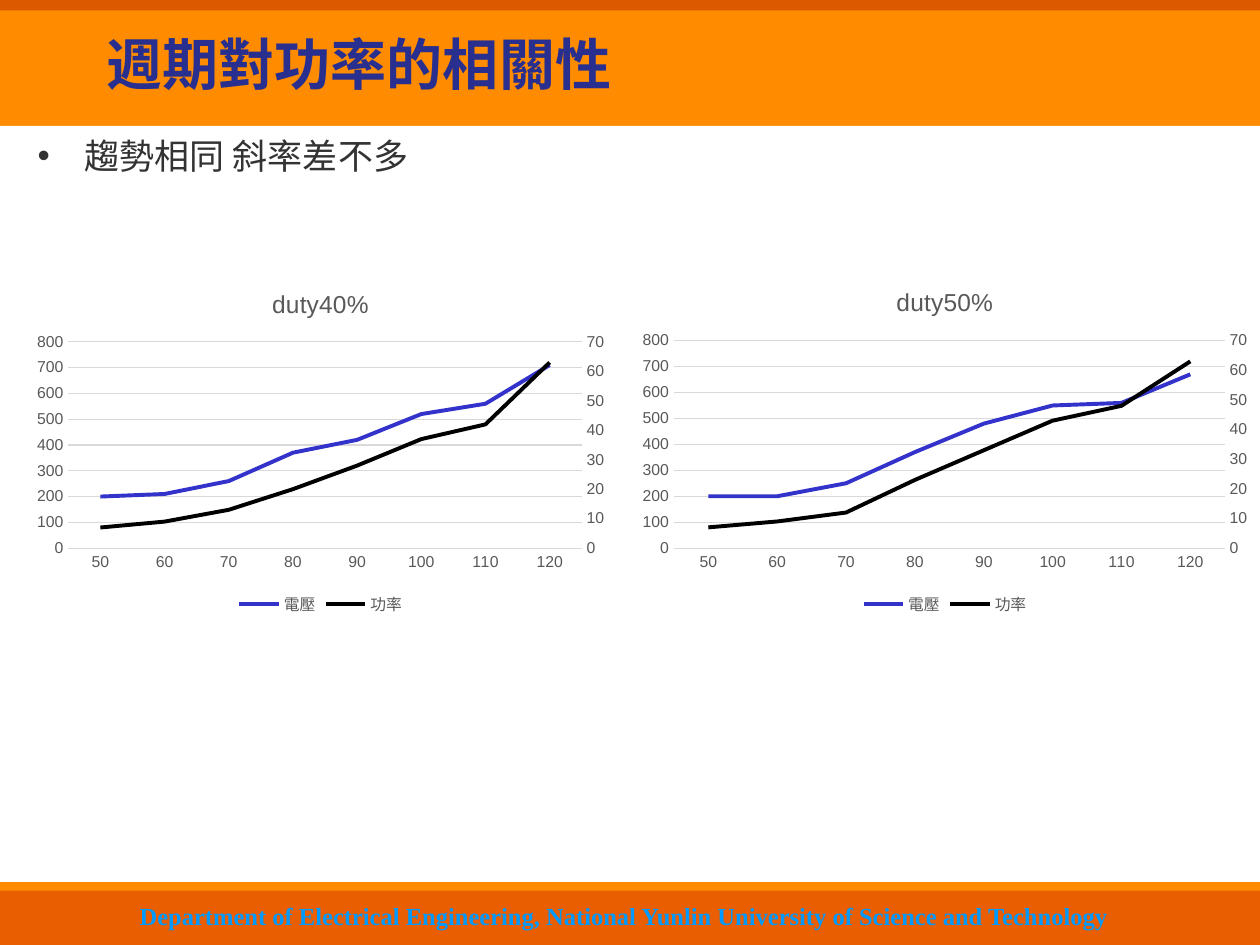
from copy import deepcopy

from lxml import etree
from pptx import Presentation
from pptx import util as u
from pptx.chart.data import CategoryChartData
from pptx.dml.color import RGBColor
from pptx.enum import chart as ch, shapes, text
from pptx.oxml.ns import qn

ORANGE = RGBColor(0xFF, 0x8C, 0x00)
DARK_ORANGE = RGBColor(0xDC, 0x59, 0x00)
FOOTER_ORANGE = RGBColor(0xE8, 0x5E, 0x00)
WHITE = RGBColor(0xFF, 0xFF, 0xFF)
NAVY = RGBColor(0x28, 0x2F, 0x8E)
SKY = RGBColor(0x00, 0x99, 0xFF)
CHARCOAL = RGBColor(0x33, 0x33, 0x33)
GREY = RGBColor(0x59, 0x59, 0x59)
GRID = RGBColor(0xD9, 0xD9, 0xD9)
BLUE = RGBColor(0x33, 0x33, 0xCC)
BLACK = RGBColor(0, 0, 0)

prs = Presentation()
prs.slide_width, prs.slide_height = u.Pt(720), u.Pt(540)
slide = prs.slides.add_slide(prs.slide_layouts[6])


def add_text(words, left, top, width, height, *, size, color, bold=False,
             align=text.PP_ALIGN.LEFT, anchor=text.MSO_ANCHOR.MIDDLE, bullet=None):
    box = slide.shapes.add_textbox(u.Pt(left), u.Pt(top), u.Pt(width), u.Pt(height))
    frame = box.text_frame
    frame.word_wrap = True
    frame.vertical_anchor = anchor
    paragraph = frame.paragraphs[0]
    paragraph.alignment = align
    if bullet:
        props = paragraph._p.get_or_add_pPr()
        props.set("marL", str(u.Pt(27)))
        props.set("indent", str(u.Pt(-27)))
        etree.SubElement(props, qn("a:buFont")).set("typeface", "Arial")
        etree.SubElement(props, qn("a:buChar")).set("char", bullet)
    run = paragraph.add_run()
    run.text = words
    run.font.name = "Times New Roman"
    run.font.size = u.Pt(size)
    run.font.bold = bold
    run.font.color.rgb = color
    return run


# Background bands, back to front: top, height, colour
for top, height, color in [
    (0, 540, ORANGE),
    (0, 6, DARK_ORANGE),
    (72, 432, WHITE),
    (509, 31, FOOTER_ORANGE),
]:
    band = slide.shapes.add_shape(shapes.MSO_SHAPE.RECTANGLE, 0, u.Pt(top), u.Pt(720), u.Pt(height))
    band.shadow.inherit = False
    band.fill.solid()
    band.fill.fore_color.rgb = color
    band.line.fill.background()

# Footer with a light text shadow
footer = add_text(
    "Department of Electrical Engineering, National Yunlin University of Science and Technology",
    64.8, 511.2, 583.9, 23.8, size=14, color=SKY, bold=True, align=text.PP_ALIGN.CENTER)
effects = etree.Element(qn("a:effectLst"))
shadow = etree.SubElement(effects, qn("a:outerShdw"), dist=str(u.Pt(1)), dir="2700000")
etree.SubElement(shadow, qn("a:srgbClr")).set("val", "C0C0C0")
footer.font._element.find(qn("a:solidFill")).addnext(effects)

# Title and bullet
add_text("週期對功率的相關性", 54, 0, 589.7, 72, size=32, color=NAVY, bold=True)
add_text("趨勢相同 斜率差不多", 14.4, 73.5, 692, 401, size=20, color=CHARCOAL,
         anchor=text.MSO_ANCHOR.TOP, bullet="•")

# Charts: voltage on the left axis, power on the right axis
periods = ["50", "60", "70", "80", "90", "100", "110", "120"]
for title, left, top, width, height, voltage, power in [
    ("duty40%", 14.4, 154.1, 337.7, 200.2,
     [200, 210, 260, 370, 420, 520, 560, 710], [7, 9, 13, 20, 28, 37, 42, 63]),
    ("duty50%", 360, 153.4, 360, 200.9,
     [200, 200, 250, 370, 480, 550, 560, 670], [7, 9, 12, 23, 33, 43, 48, 63]),
]:
    data = CategoryChartData()
    data.categories = periods
    data.add_series("電壓", voltage)
    data.add_series("功率", power)
    chart = slide.shapes.add_chart(ch.XL_CHART_TYPE.LINE, u.Pt(left), u.Pt(top),
                                   u.Pt(width), u.Pt(height), data).chart
    chart.font.name = "Arial"
    chart.font.size = u.Pt(9)
    chart.font.color.rgb = GREY
    chart.has_title = True
    chart.chart_title.include_in_layout = False
    heading = chart.chart_title.text_frame
    heading.text = title
    heading_font = heading.paragraphs[0].runs[0].font
    heading_font.name = "Arial"
    heading_font.size = u.Pt(14)
    heading_font.bold = False
    heading_font.color.rgb = GREY
    chart.has_legend = True
    chart.legend.position = ch.XL_LEGEND_POSITION.BOTTOM
    chart.legend.include_in_layout = False

    # Lines
    chart.plots[0].vary_by_categories = False
    for series, color in zip(chart.plots[0].series, (BLUE, BLACK)):
        series.smooth = False
        series.marker.style = ch.XL_MARKER_STYLE.NONE
        series.format.line.color.rgb = color
        series.format.line.width = u.Pt(2.25)

    # Axes
    periods_axis, voltage_axis = chart.category_axis, chart.value_axis
    for axis in (periods_axis, voltage_axis):
        axis.major_tick_mark = axis.minor_tick_mark = ch.XL_TICK_MARK.NONE
    periods_axis.format.line.color.rgb = GRID
    periods_axis.format.line.width = u.Pt(0.75)
    voltage_axis.format.line.fill.background()
    voltage_axis.major_gridlines.format.line.color.rgb = GRID
    voltage_axis.major_gridlines.format.line.width = u.Pt(0.75)
    voltage_axis.minimum_scale, voltage_axis.maximum_scale = 0, 800
    voltage_axis.major_unit = 100

    # Second plot for power, with its own pair of axes
    left_plot = chart.plots[0]._element
    right_plot = deepcopy(left_plot)
    left_plot.remove(left_plot.findall(qn("c:ser"))[1])
    right_plot.remove(right_plot.find(qn("c:ser")))
    left_plot.addnext(right_plot)
    hidden_axis = deepcopy(periods_axis._element)
    power_axis = deepcopy(voltage_axis._element)
    voltage_axis._element.addnext(power_axis)
    power_axis.addnext(hidden_axis)
    for axis_id, number in zip(right_plot.findall(qn("c:axId")), ("5001", "5002")):
        axis_id.set("val", number)
    for axis, changes in [
        (hidden_axis, {"axId": "5001", "crossAx": "5002", "delete": "1"}),
        (power_axis, {"axId": "5002", "crossAx": "5001", "axPos": "r", "crosses": "max",
                      "max": "70", "majorUnit": "10"}),
    ]:
        for tag, value in changes.items():
            next(axis.iter(qn("c:" + tag))).set("val", value)
    power_axis.remove(power_axis.find(qn("c:majorGridlines")))

prs.save("out.pptx")
